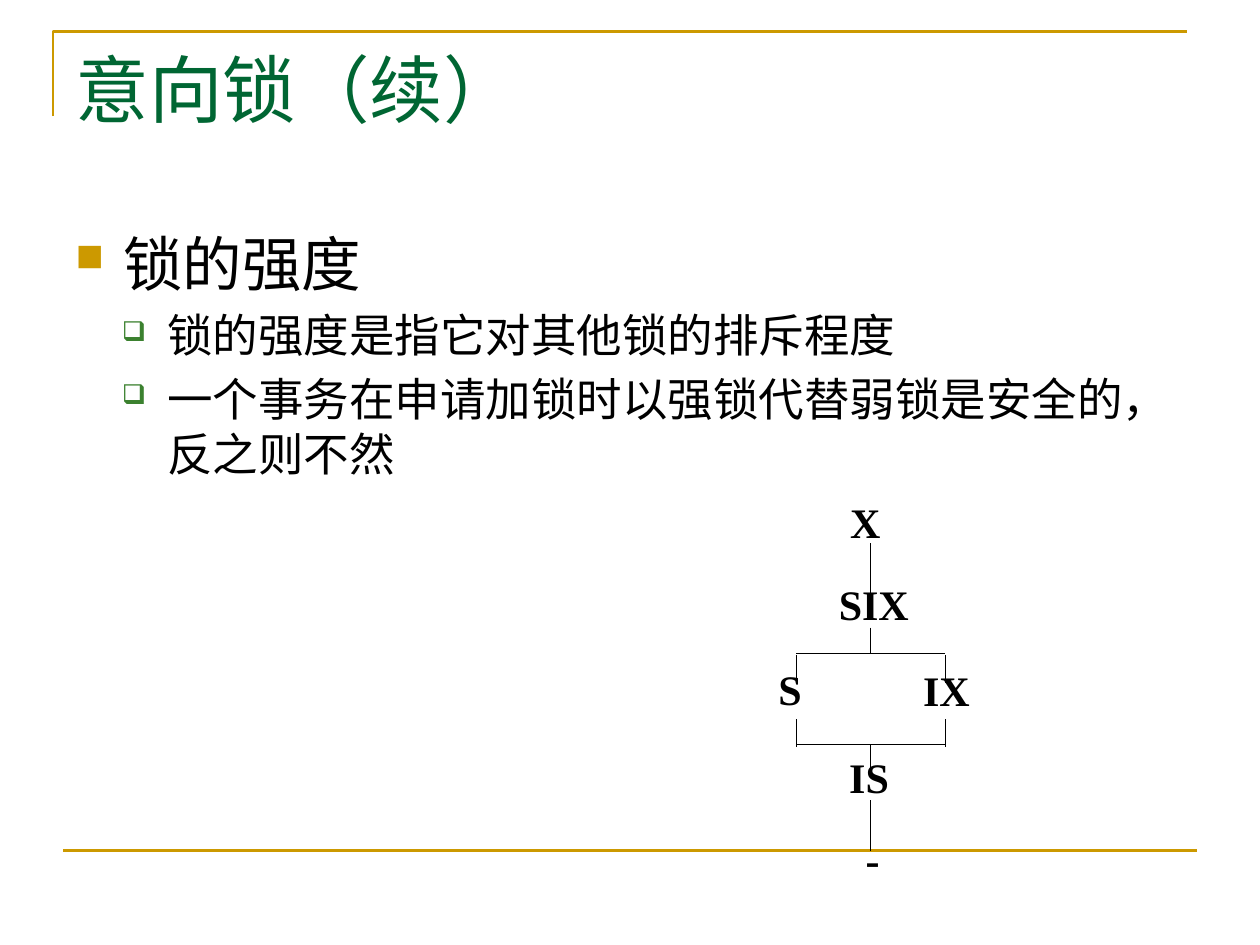
from lxml.etree import SubElement
from pptx import Presentation
from pptx.dml.color import RGBColor
from pptx.enum.shapes import MSO_CONNECTOR as Connector
from pptx.enum.text import MSO_ANCHOR as Anchor, MSO_AUTO_SIZE as AutoSize, PP_ALIGN as Align
from pptx.oxml.ns import qn
from pptx.util import Cm, Pt

GOLD, GREEN, LEAF, BLACK = "CC9900", "006633", "3B812F", "000000"
SERIF, SANS = "Times New Roman", "Arial"

# Body text: outline level and wording
BODY = [
    (0, "锁的强度"),
    (1, "锁的强度是指它对其他锁的排斥程度"),
    (1, "一个事务在申请加锁时以强锁代替弱锁是安全的，反之则不然"),
]
# Per level: size, margin and hanging indent in cm, bullet, its colour and percent
LEVELS = [
    (34, 0.97, 0.97, "■", GOLD, 65),
    (26, 1.85, 0.91, "❑", LEAF, 60),
]

# Lock hierarchy, in cm: label, left, top, width, height
LOCKS = [
    ("X", 16.89, 9.96, 1.5, 1.17),
    ("SIX", 16.66, 11.61, 2.13, 1.42),
    ("S", 15.44, 13.31, 1.4, 1.42),
    ("IX", 18.36, 13.34, 1.52, 1.42),
    ("IS", 16.87, 15.09, 1.9, 1.42),
    (" -", 16.99, 16.74, 1.45, 1.27),
]
LEFT, MIDDLE, RIGHT = 16.05, 17.54, 19.05
FORK, JOIN = 13.18, 15.01
# Vertical links: x, top, bottom
LINKS = [
    (MIDDLE, 10.95, 11.99),
    (MIDDLE, 12.65, FORK),
    (MIDDLE, JOIN, 15.54),
    (MIDDLE, 16.13, 17.15),
] + [(x, top, top + 0.56) for x in (LEFT, RIGHT) for top in (13.21, 14.5)]


def color(value):
    return RGBColor.from_string(value)


def add_text(paragraph, text, *, size, font, fill=BLACK, bold=False,
             align=Align.LEFT, before=0, spacing=1.0):
    paragraph.alignment = align
    paragraph.space_before = Pt(before)
    paragraph.line_spacing = spacing
    run = paragraph.add_run()
    run.text = text
    run.font.size = Pt(size)
    run.font.name = font
    run.font.bold = bold
    run.font.color.rgb = color(fill)


def add_bullet(paragraph, margin, hanging, character, fill, percent):
    properties = paragraph._p.get_or_add_pPr()
    properties.set("marL", str(Cm(margin)))
    properties.set("indent", str(-Cm(hanging)))
    bullet_color = SubElement(properties, qn("a:buClr"))
    SubElement(bullet_color, qn("a:srgbClr"), val=fill)
    SubElement(properties, qn("a:buSzPct"), val=str(percent * 1000))
    SubElement(properties, qn("a:buChar"), char=character)


def add_box(shapes, left, top, width, height):
    frame = shapes.add_textbox(Cm(left), Cm(top), Cm(width), Cm(height)).text_frame
    frame.word_wrap = True
    return frame


def add_line(shapes, start, end, *, fill=BLACK, width=0.5):
    line = shapes.add_connector(Connector.STRAIGHT, *map(Cm, start + end))
    line.line.color.rgb = color(fill)
    line.line.width = Pt(width)
    SubElement(line._element.spPr, qn("a:effectLst"))


def add_frame(shapes):
    # Corner outline above the title
    builder = shapes.build_freeform(Cm(1.07), Cm(2.34))
    corner = [(Cm(1.07), Cm(0.64)), (Cm(23.93), Cm(0.64))]
    builder.add_line_segments(corner, close=False)
    outline = builder.convert_to_shape()
    outline.fill.background()
    outline.line.color.rgb = color(GOLD)
    outline.line.width = Pt(1.5)
    outline.shadow.inherit = False
    # Rule at the foot
    add_line(shapes, (1.27, 17.15), (24.13, 17.15), fill=GOLD, width=1.5)


def add_title(slide, text):
    title = slide.shapes.title
    title.left, title.top, title.width, title.height = map(Cm, (1.27, 0.76, 22.86, 3.18))
    frame = title.text_frame
    frame.auto_size = AutoSize.NONE
    frame.vertical_anchor = Anchor.TOP
    add_text(frame.paragraphs[0], text, size=42, font=SERIF, fill=GREEN)


def add_body(shapes):
    frame = add_box(shapes, 1.27, 4.45, 22.86, 12.57)
    for index, (level, text) in enumerate(BODY):
        paragraph = frame.add_paragraph() if index else frame.paragraphs[0]
        paragraph.level = level
        size, *bullet = LEVELS[level]
        add_text(paragraph, text, size=size, font=SANS, before=round(size * 0.2, 1))
        add_bullet(paragraph, *bullet)


def add_hierarchy(shapes):
    tree = shapes.add_group_shape().shapes
    for y in (FORK, JOIN):
        add_line(tree, (LEFT, y), (RIGHT, y))
    for x, top, bottom in LINKS:
        add_line(tree, (x, top), (x, bottom))
    for label, *place in LOCKS:
        add_text(add_box(tree, *place).paragraphs[0], label, size=24, font=SERIF,
                 bold=True, align=Align.JUSTIFY, spacing=0.96)


def main():
    presentation = Presentation()
    presentation.slide_width, presentation.slide_height = Cm(25.4), Cm(19.05)
    slide = presentation.slides.add_slide(presentation.slide_layouts[5])
    add_frame(slide.shapes)
    add_title(slide, "意向锁（续）")
    add_body(slide.shapes)
    add_hierarchy(slide.shapes)
    presentation.save("out.pptx")


main()
